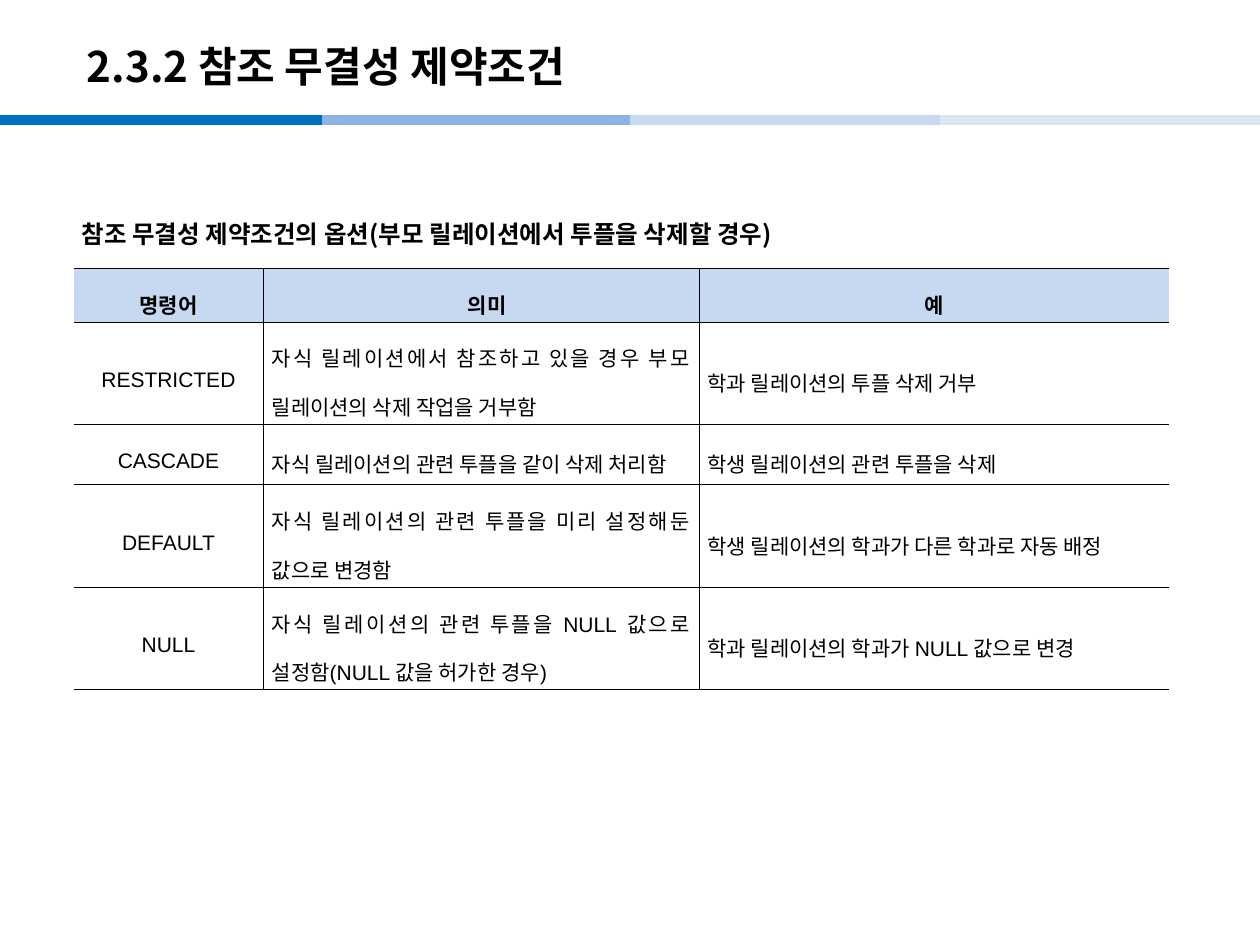
from itertools import pairwise

from lxml import etree
from pptx import Presentation
from pptx.dml.color import RGBColor
from pptx.enum import shapes, text
from pptx.oxml import ns
from pptx.util import Pt

BLACK = RGBColor(0x00, 0x00, 0x00)
HEADER_BLUE = RGBColor(0xC6, 0xD9, 0xF1)
BAND_COLORS = [
    RGBColor(0x00, 0x70, 0xC0),
    RGBColor(0x8E, 0xB4, 0xE3),
    RGBColor(0xC6, 0xD9, 0xF1),
    RGBColor(0xDC, 0xE6, 0xF2),
]
BAND_STOPS = [0, 184, 360, 537, 720]
KOREAN_FONT = "Noto Sans CJK KR"
COLUMN_WIDTHS = [108, 249, 268.5]
ROW_HEIGHTS = [30, 58, 34.5, 58, 58]
ROWS = [
    ["명령어", "의미", "예"],
    ["RESTRICTED",
     "자식 릴레이션에서 참조하고 있을 경우 부모 릴레이션의 삭제 작업을 거부함",
     "학과 릴레이션의 투플 삭제 거부"],
    ["CASCADE",
     "자식 릴레이션의 관련 투플을 같이 삭제 처리함",
     "학생 릴레이션의 관련 투플을 삭제"],
    ["DEFAULT",
     "자식 릴레이션의 관련 투플을 미리 설정해둔 값으로 변경함",
     "학생 릴레이션의 학과가 다른 학과로 자동 배정"],
    ["NULL",
     "자식 릴레이션의 관련 투플을 NULL 값으로 설정함(NULL 값을 허가한 경우)",
     "학과 릴레이션의 학과가 NULL 값으로 변경"],
]


def format_runs(para, size, bold, latin=KOREAN_FONT):
    for run in para.runs:
        run.font.size = Pt(size)
        run.font.bold = bold
        run.font.name = latin
        run.font.color.rgb = BLACK
        east_asian = etree.Element(ns.qn("a:ea"), typeface=KOREAN_FONT)
        run.font._element.find(ns.qn("a:latin")).addnext(east_asian)


def place_text(box, content, left, top, width, height, size):
    box.left, box.top, box.width, box.height = map(Pt, (left, top, width, height))
    frame = box.text_frame
    frame.text = content
    frame.word_wrap = True
    frame.vertical_anchor = text.MSO_ANCHOR.MIDDLE
    frame.paragraphs[0].alignment = text.PP_ALIGN.LEFT
    format_runs(frame.paragraphs[0], size, True)


def add_band(page, left, right, color):
    band = page.shapes.add_connector(
        shapes.MSO_CONNECTOR.STRAIGHT, Pt(left), Pt(68.5), Pt(right), Pt(68.5))
    band.line.color.rgb = color
    band.line.width = Pt(6)
    etree.SubElement(band._element.spPr, ns.qn("a:effectLst"))


def set_borders(cell, visible):
    properties = cell._tc.get_or_add_tcPr()
    for index, side in enumerate("LRTB"):
        border = etree.Element(ns.qn(f"a:ln{side}"), w=str(Pt(0.28)))
        if side in visible:
            fill = etree.SubElement(border, ns.qn("a:solidFill"))
            etree.SubElement(fill, ns.qn("a:srgbClr"), val=str(BLACK))
        else:
            etree.SubElement(border, ns.qn("a:noFill"))
        properties.insert(index, border)


def fill_cell(cell, content, header, column):
    cell.text_frame.text = content
    cell.vertical_anchor = text.MSO_ANCHOR.MIDDLE
    cell.margin_left = cell.margin_right = Pt(5)
    cell.margin_top = cell.margin_bottom = Pt(1.4)
    para = cell.text_frame.paragraphs[0]
    para.line_spacing = 1.6
    centred = header or column == 0
    para.alignment = text.PP_ALIGN.CENTER if centred else text.PP_ALIGN.JUSTIFY
    if header and column == 1:
        para._p.get_or_add_pPr().set("marL", str(Pt(7.2)))
    format_runs(para, 12, header, "Arial")
    if header:
        cell.fill.solid()
        cell.fill.fore_color.rgb = HEADER_BLUE
    else:
        cell.fill.background()
    set_borders(cell, ["RTB", "LRTB", "LTB"][column])


def add_options_table(page):
    frame = page.shapes.add_table(
        len(ROWS), len(COLUMN_WIDTHS), Pt(42.3), Pt(153.3),
        Pt(sum(COLUMN_WIDTHS)), Pt(sum(ROW_HEIGHTS)))
    table = frame.table
    table.first_row = table.horz_banding = False
    for column, width in zip(table.columns, COLUMN_WIDTHS):
        column.width = Pt(width)
    for row_index, (height, contents) in enumerate(zip(ROW_HEIGHTS, ROWS)):
        table.rows[row_index].height = Pt(height)
        for column_index, content in enumerate(contents):
            fill_cell(table.cell(row_index, column_index), content,
                      row_index == 0, column_index)


def main():
    deck = Presentation()
    deck.slide_width, deck.slide_height = Pt(720), Pt(540)
    page = deck.slides.add_slide(deck.slide_layouts[5])
    for (left, right), color in zip(pairwise(BAND_STOPS), BAND_COLORS):
        add_band(page, left, right, color)
    place_text(page.shapes.title, "2.3.2 참조 무결성 제약조건",
               42.5, 16, 595.5, 43, 24)
    add_options_table(page)
    caption = page.shapes.add_textbox(0, 0, 0, 0)
    place_text(caption, "참조 무결성 제약조건의 옵션(부모 릴레이션에서 투플을 삭제할 경우)",
               39.6, 122.4, 460, 22.3, 14)
    deck.save("out.pptx")


main()
